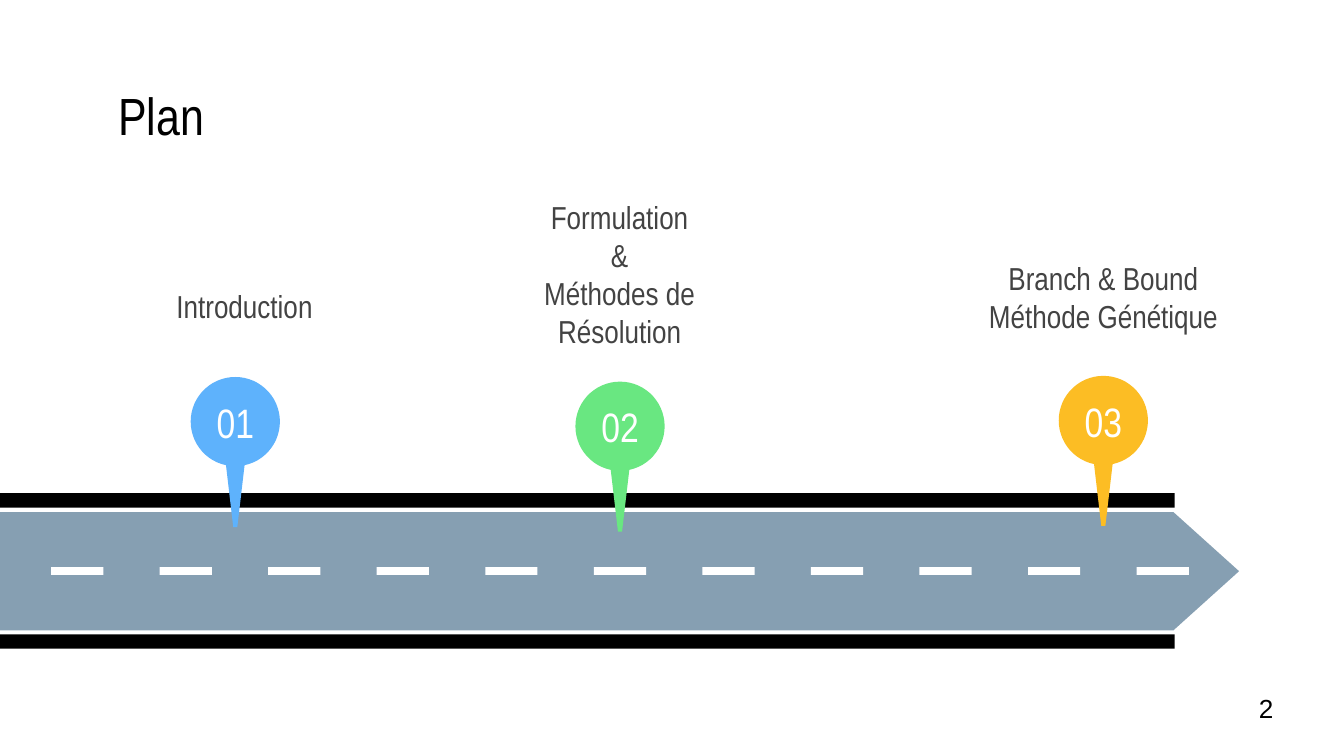
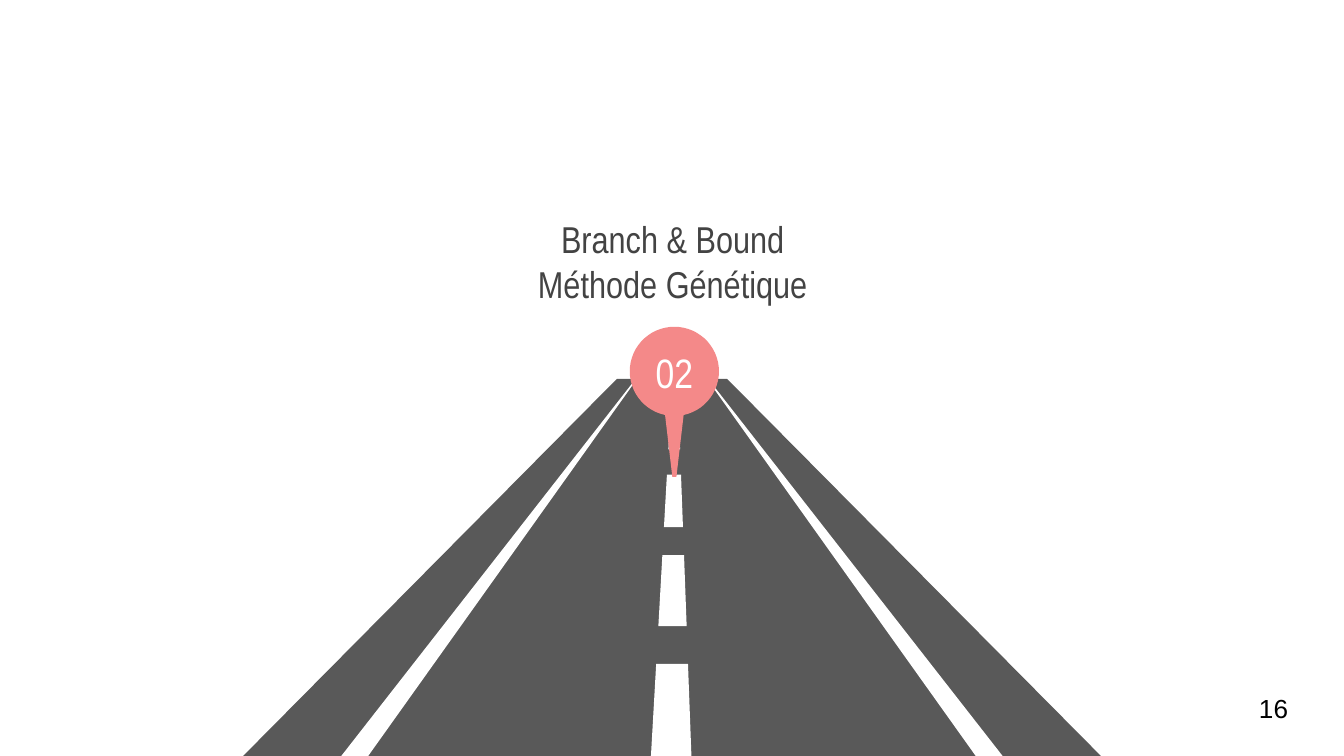
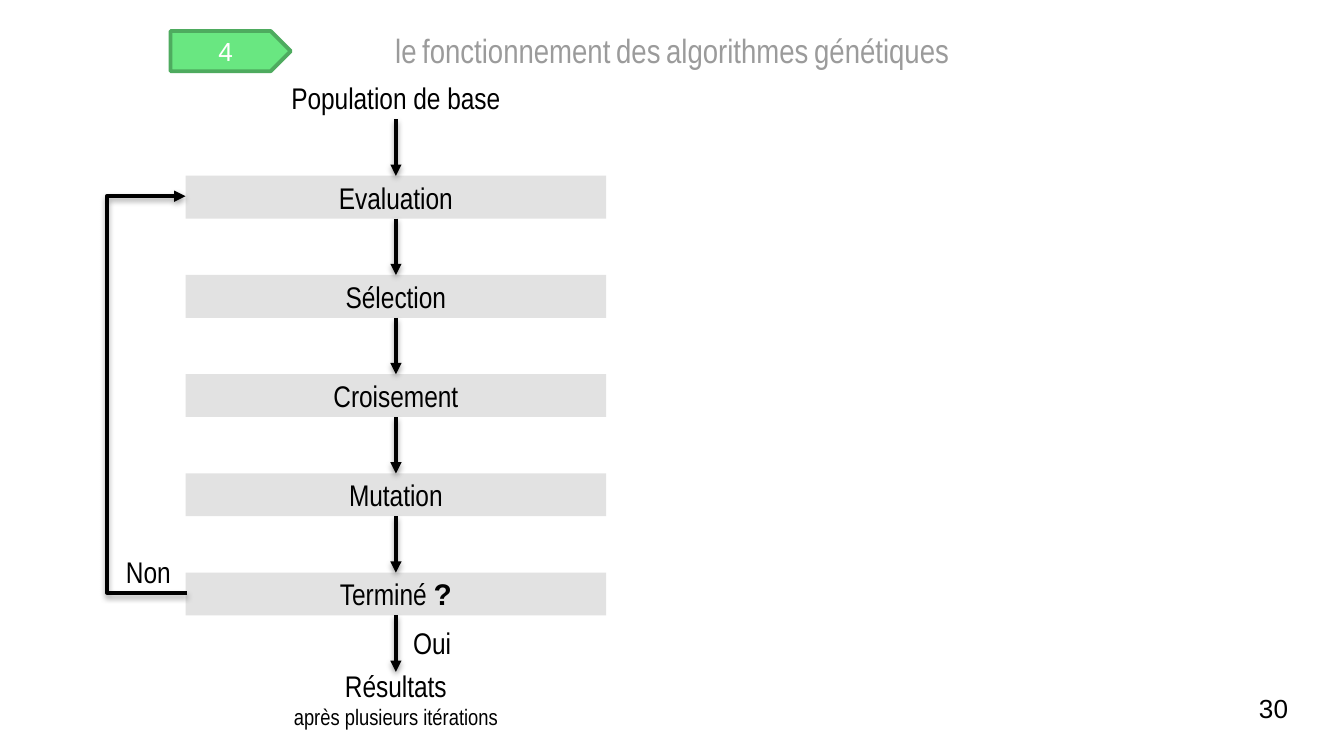
from collections import namedtuple
from math import cos, radians, sin

from lxml.etree import SubElement
from pptx import Presentation
from pptx.dml.color import RGBColor
from pptx.enum.shapes import MSO_CONNECTOR, MSO_SHAPE
from pptx.enum.text import MSO_ANCHOR, MSO_AUTO_SIZE, PP_ALIGN
from pptx.oxml.ns import qn
from pptx.util import Pt

Style = namedtuple("Style", "size color font bold", defaults=("Arial Narrow", False))


class Theme:
    black, white = "000000", "FFFFFF"
    asphalt, highway = "869FB2", "595959"
    blue, green, amber, coral = "5EB2FC", "69E781", "FCBD24", "F48989"
    green_edge, step_fill = "4EAB5F", "E2E2E2"
    title = Style(28, black)
    section = Style(20, "434343")
    label = Style(17, "434343")
    pin = Style(22, white)
    heading = Style(18, "9B9B9B")
    heading_gap = Style(12, "9B9B9B", "Roboto")
    step = Style(16, black)
    step_mark = Style(16, black, "Arial", True)
    note = Style(12, black)
    number = Style(14, black, "Arial")
    tag = Style(14, white, "Arial")
    inset = (7.2, 7.2, 7.2, 7.2)
    flat_inset = (7.2, 3.6, 7.2, 3.6)
    pin_inset = (7.2, 10.8, 7.2, 7.2)


def draw(page, fill, outline, preset=None):
    """Draw a flat shape; outline is a list of corners, or the frame of a preset."""
    if preset is None:
        corners = [(Pt(x), Pt(y)) for x, y in outline]
        builder = page.shapes.build_freeform(*corners[0])
        builder.add_line_segments(corners[1:], close=True)
        shape = builder.convert_to_shape()
    else:
        shape = page.shapes.add_shape(preset, *map(Pt, outline))
    shape.shadow.inherit = False
    shape.fill.solid()
    shape.fill.fore_color.rgb = RGBColor.from_string(fill)
    shape.line.fill.background()
    return shape


def write(box, paras, align=PP_ALIGN.CENTER, anchor=MSO_ANCHOR.MIDDLE, inset=Theme.inset):
    """Fill a box with paragraphs, each a list of (text, style) spans."""
    frame = box.text_frame
    frame.word_wrap = True
    frame.auto_size = MSO_AUTO_SIZE.NONE
    frame.vertical_anchor = anchor
    frame.margin_left, frame.margin_top, frame.margin_right, frame.margin_bottom = map(Pt, inset)
    for index, spans in enumerate(paras):
        para = frame.add_paragraph() if index else frame.paragraphs[0]
        para.alignment = align
        for text, style in spans:
            for row, line in enumerate(text.split("\n")):
                if row:
                    para.add_line_break()
                span = para.add_run()
                span.text = line
                span.font.size = Pt(style.size)
                span.font.name = style.font
                span.font.bold = style.bold
                span.font.color.rgb = RGBColor.from_string(style.color)


deck = Presentation()
deck.slide_width, deck.slide_height = Pt(720), Pt(405)

# Titles and page numbers
heading = []
for word in "le fonctionnement des algorithmes génétiques".split():
    if heading:
        heading.append((" ", Theme.heading_gap))
    heading.append((word, Theme.heading))

pages = []
for number, spans, frame, align in [
    ("2", [("Plan", Theme.title)], (56.2, 42.5, 608.4, 38.2), PP_ALIGN.LEFT),
    ("16", [("Branch & Bound\nMéthode Génétique", Theme.section)],
     (276.5, 118, 167.8, 44), PP_ALIGN.CENTER),
    ("30", heading, (182.2, 15.1, 355.7, 23), PP_ALIGN.CENTER),
]:
    page = deck.slides.add_slide(deck.slide_layouts[5])
    title = page.shapes.title
    title.left, title.top, title.width, title.height = map(Pt, frame)
    write(title, [spans], align)
    box = page.shapes.add_textbox(Pt(667.4), Pt(367.2), Pt(43.2), Pt(31))
    write(box, [[(number, Theme.number)]], PP_ALIGN.LEFT, MSO_ANCHOR.TOP, Theme.flat_inset)
    pages.append(page)
plan, section, flow = pages

# Plan: road with an arrow end, two edges and evenly spaced dashes
draw(plan, Theme.asphalt,
     [(0, 274.3), (0, 337.7), (628.6, 337.7), (663.8, 306), (628.6, 274.3)])
for top in (264.2, 339.8):
    draw(plan, Theme.black, (0, top, 629.3, 7.8), MSO_SHAPE.RECTANGLE)
for dash in range(11):
    draw(plan, Theme.white, (27.4 + 58.15 * dash, 303.8, 28, 4.3), MSO_SHAPE.RECTANGLE)

for left, top, lines in [
    (56.9, 146.9, ["Introduction"]),
    (257.8, 129.8, ["Formulation", "&", "Méthodes de\nRésolution"]),
    (517, 141.8, ["Branch & Bound\nMéthode Génétique"]),
]:
    box = plan.shapes.add_textbox(Pt(left), Pt(top), Pt(148.3), Pt(34))
    write(box, [[(line, Theme.label)] for line in lines])

# Section: road in perspective, mirrored about the middle of the slide
draw(section, Theme.highway, [(330.5, 203), (130.3, 405), (589.7, 405), (389.5, 203)])
for side in (-1, 1):
    draw(section, Theme.white, [(360 + side * x, y) for x, y in
                                [(18.7, 203), (162.7, 405), (177.1, 405), (19.4, 203)]])
for top, bottom in [(221, 240.8), (254.2, 282.4), (297.4, 335.5), (355.7, 405)]:
    corners = []
    for y, side in [(top, -1), (bottom, -1), (bottom, 1), (top, 1)]:
        depth = y - 221
        corners.append((361.4 - 0.01 * depth + side * (2.2 + 0.047 * depth), y))
    draw(section, Theme.white, corners)

# Numbered pins: a round head that is open at the foot, and a narrow stem
radius = 23.9
pin_outline = [(radius * sin(radians(angle)), radius * (1 + cos(radians(angle))))
               for angle in range(12, 349, 6)]
pin_outline += [(-1.1, 80.4), (1.1, 80.4)]
for page, number, color, center, top in [
    (plan, "01", Theme.blue, 126.1, 202),
    (plan, "02", Theme.green, 332.2, 204.5),
    (plan, "03", Theme.amber, 591.1, 201.4),
    (section, "02", Theme.coral, 361.3, 175.1),
]:
    pin = draw(page, color, [(center + x, top + y) for x, y in pin_outline])
    write(pin, [[(number, Theme.pin)]], anchor=MSO_ANCHOR.TOP, inset=Theme.pin_inset)

# Flow chart: steps at an equal pitch
tag = draw(flow, Theme.green, (91.4, 16.6, 64.4, 21.6), MSO_SHAPE.PENTAGON)
tag.line.color.rgb = RGBColor.from_string(Theme.green_edge)
tag.line.width = Pt(2)
write(tag, [[("4", Theme.tag)]], inset=Theme.flat_inset)

step_left, step_top, step_width, step_height, pitch = 99.4, 41, 225.4, 23, 53.15
steps = [[("Evaluation", Theme.step)], [("Sélection", Theme.step)],
         [("Croisement", Theme.step)], [("Mutation", Theme.step)],
         [("Terminé ", Theme.step), ("?", Theme.step_mark)]]
for row, spans in enumerate(steps, start=1):
    frame = (step_left, step_top + pitch * row, step_width, step_height)
    write(draw(flow, Theme.step_fill, frame, MSO_SHAPE.RECTANGLE), [spans])

for left, top, width, paras in [
    (step_left, step_top, step_width, [[("Population de base", Theme.step)]]),
    (118.8, 332.6, step_width, [[("Oui", Theme.step)]]),
    (0, 294.5, 159, [[("Non", Theme.step)]]),
    (step_left, 362.9, step_width,
     [[("Résultats", Theme.step)], [("après plusieurs itérations", Theme.note)]]),
]:
    box = flow.shapes.add_textbox(Pt(left), Pt(top), Pt(width), Pt(step_height))
    write(box, paras)

# Arrows down the chart, then the loop back from the last step to the first
middle = step_left + step_width / 2
arrows = []
for row in range(6):
    start = step_top + pitch * row + step_height
    arrows.append(flow.shapes.add_connector(
        MSO_CONNECTOR.STRAIGHT, Pt(middle), Pt(start), Pt(middle), Pt(start + 30.2)))

loop_width, loop_reach = 0.7, 42.4
loop = flow.shapes.add_connector(
    MSO_CONNECTOR.ELBOW, Pt(step_left), Pt(105.1), Pt(step_left + loop_width), Pt(317.5))
properties = loop._element.spPr
properties.find(qn("a:xfrm")).set("rot", "10800000")
geometry = properties.find(qn("a:prstGeom"))
adjustments = geometry.find(qn("a:avLst"))
if adjustments is None:
    adjustments = SubElement(geometry, qn("a:avLst"))
bend = round(100000 * loop_reach / loop_width)
SubElement(adjustments, qn("a:gd"), name="adj1", fmla=f"val {bend}")

for arrow in arrows + [loop]:
    arrow.line.color.rgb = RGBColor.from_string(Theme.black)
    arrow.line.width = Pt(2)
    properties = arrow._element.spPr
    SubElement(properties.find(qn("a:ln")), qn("a:tailEnd"), type="triangle")
    effects = SubElement(properties, qn("a:effectLst"))
    shadow = SubElement(effects, qn("a:outerShdw"), blurRad=str(Pt(3.1)), dist=str(Pt(1.6)),
                        dir="5400000", rotWithShape="0")
    shade = SubElement(shadow, qn("a:srgbClr"), val=Theme.black)
    SubElement(shade, qn("a:alpha"), val="38000")

deck.save("out.pptx")
